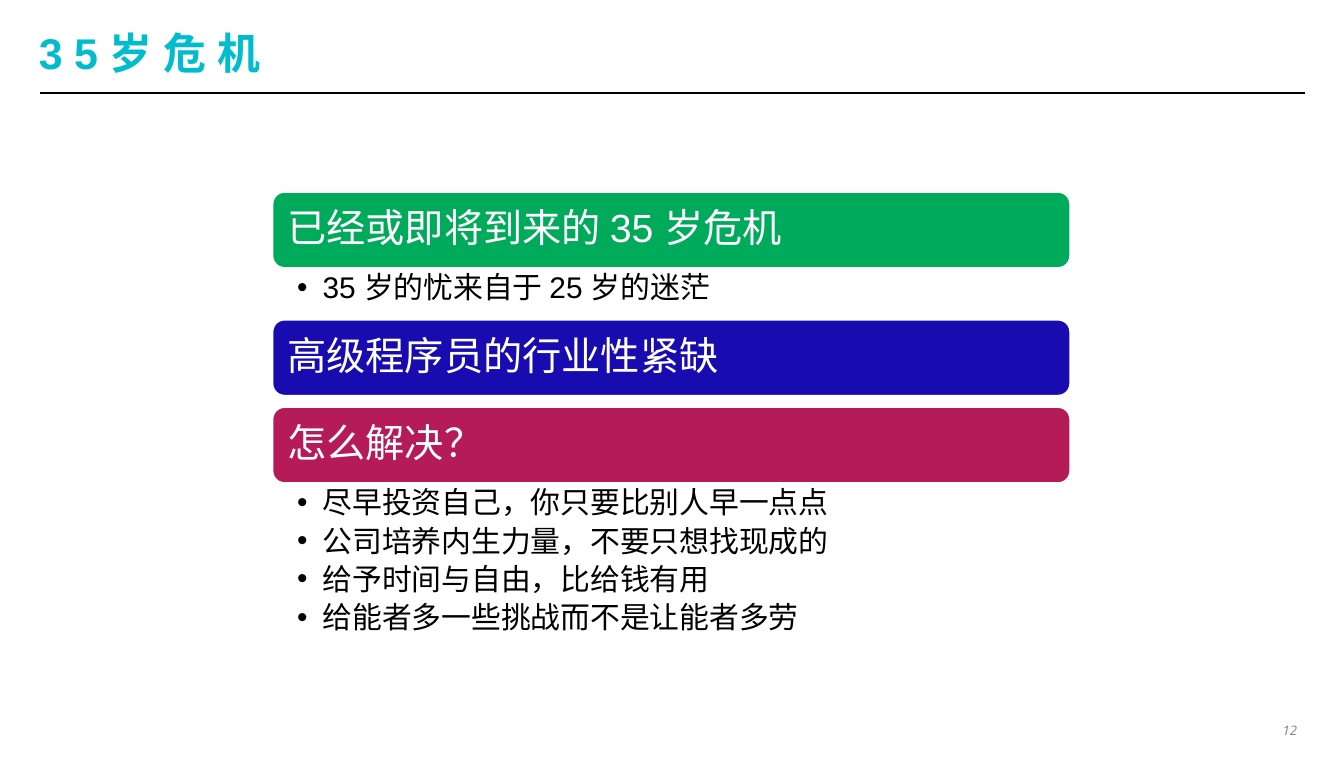
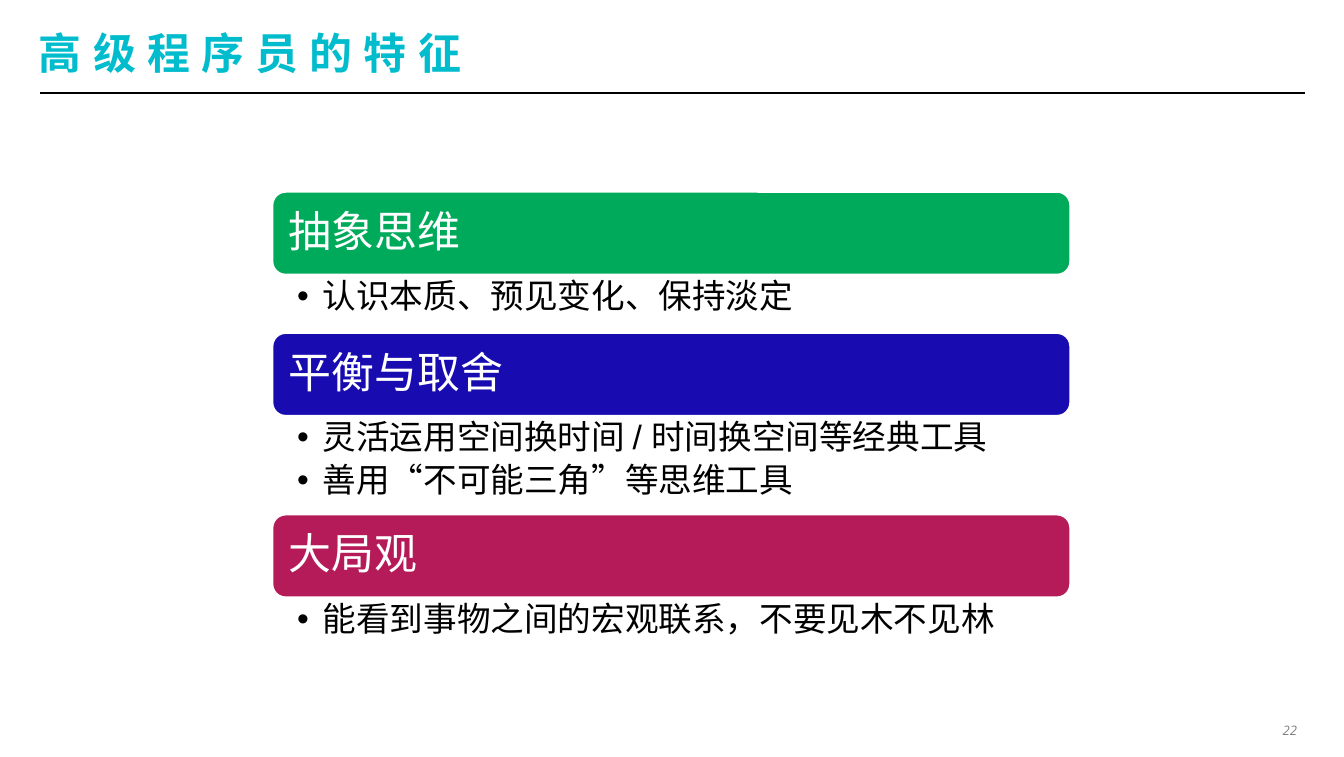
from lxml import etree
from pptx import Presentation
from pptx.dml.color import RGBColor
from pptx.enum import shapes, text
from pptx.oxml import ns
from pptx.util import Inches, Pt

CYAN = RGBColor(0x00, 0xBC, 0xCD)
GREEN = RGBColor(0x00, 0xAA, 0x5B)
BLUE = RGBColor(0x18, 0x0C, 0xB1)
PINK = RGBColor(0xB5, 0x1B, 0x58)
GRAY = RGBColor(0x80, 0x81, 0x84)
BLACK = RGBColor(0, 0, 0)
WHITE = RGBColor(255, 255, 255)

LEFT, TOP, WIDTH = 2.02, 1.42, 5.95
PITCH = 0.3  # height of one bullet line


class Deck:
    """Holds the shared style and the slide being filled."""

    def __init__(self):
        self.prs = Presentation()
        self.prs.slide_width = Inches(10)
        self.prs.slide_height = Inches(5.63)
        self.slide = None

    def start(self, title, page):
        self.slide = self.prs.slides.add_slide(self.prs.slide_layouts[6])
        self.rule()
        self.title(title)
        self.number(page)

    def rule(self):
        line = self.slide.shapes.add_connector(
            shapes.MSO_CONNECTOR.STRAIGHT,
            Inches(0.3), Inches(0.69), Inches(9.71), Inches(0.69))
        line.line.color.rgb = BLACK
        line.line.width = Pt(1)
        etree.SubElement(line._element.spPr, ns.qn("a:effectLst"))

    def frame(self, shape, pads, anchor=text.MSO_ANCHOR.TOP):
        """Set the insets (left, top, right, bottom) and return the text frame."""
        frame = shape.text_frame
        (frame.margin_left, frame.margin_top,
         frame.margin_right, frame.margin_bottom) = map(Inches, pads)
        frame.vertical_anchor = anchor
        frame.word_wrap = True
        return frame

    def box(self, x, y, w, h, pads, **opts):
        shape = self.slide.shapes.add_textbox(*map(Inches, (x, y, w, h)))
        return self.frame(shape, pads, **opts)

    def font(self, para, size, color, name="Arial", bold=None, italic=None):
        font = para.font
        font.name, font.size = name, Pt(size)
        font.bold, font.italic = bold, italic
        font.color.rgb = color

    def space(self, para, after):
        """Set tight lines and the space after, in percent of a line."""
        para.line_spacing = 0.9
        tag = etree.SubElement(para._p.get_or_add_pPr(), ns.qn("a:spcAft"))
        etree.SubElement(tag, ns.qn("a:spcPct"), val=str(after * 1000))

    def title(self, words):
        frame = self.box(0.29, 0.18, 9.41, 0.42, [0] * 4,
                         anchor=text.MSO_ANCHOR.MIDDLE)
        para = frame.paragraphs[0]
        run = para.add_run()
        run.text = words
        run.font._element.set("spc", "600")
        self.font(para, 23, CYAN, bold=True)

    def number(self, page):
        frame = self.box(9.31, 5.34, 0.4, 0.17, (0.06, 0.03) * 2)
        para = frame.paragraphs[0]
        para.text = str(page)
        para.alignment = text.PP_ALIGN.RIGHT
        self.font(para, 7, GRAY, "Open Sans", italic=True)

    def bar(self, y, h, words, fill, size, pad):
        bar = self.slide.shapes.add_shape(
            shapes.MSO_SHAPE.ROUNDED_RECTANGLE,
            *map(Inches, (LEFT, y, WIDTH, h)))
        bar.shadow.inherit = False
        bar.fill.solid()
        bar.fill.fore_color.rgb = fill
        bar.line.color.rgb = WHITE
        bar.line.width = Pt(2)
        frame = self.frame(bar, [pad] * 4, text.MSO_ANCHOR.MIDDLE)
        para = frame.paragraphs[0]
        para.text = words
        para.alignment = text.PP_ALIGN.LEFT
        self.space(para, 35)
        self.font(para, size, WHITE)

    def bullets(self, y, h, items, size, right):
        frame = self.box(LEFT, y, WIDTH, h, (0.19, 0.03, right, 0.03))
        for i, item in enumerate(items):
            para = frame.add_paragraph() if i else frame.paragraphs[0]
            para.text = item
            para.level = 1
            self.space(para, 20)
            props = para._p.get_or_add_pPr()
            props.set("marL", str(Inches(0.19)))
            props.set("indent", str(-Inches(0.19)))
            etree.SubElement(props, ns.qn("a:buFont"), typeface="Arial")
            etree.SubElement(props, ns.qn("a:buChar"), char="•")
            self.font(para, size, BLACK)

    def stack(self, topics, height, gap, head, body, pad, right):
        """Pile up coloured bars, each followed by its bullets and a gap."""
        y = TOP
        for (words, items), fill in zip(topics, (GREEN, BLUE, PINK)):
            self.bar(y, height, words, fill, head, pad)
            y += height
            depth = gap + PITCH * len(items)
            if items:
                self.bullets(y, depth, items, body, right)
            y += depth


def main():
    deck = Deck()

    deck.start("35岁危机", 12)
    deck.stack([
        ("已经或即将到来的 35 岁危机", ["35 岁的忧来自于 25 岁的迷茫"]),
        ("高级程序员的行业性紧缺", []),
        ("怎么解决？", [
            "尽早投资自己，你只要比别人早一点点",
            "公司培养内生力量，不要只想找现成的",
            "给予时间与自由，比给钱有用",
            "给能者多一些挑战而不是让能者多劳",
        ]),
    ], height=0.58, gap=0.07, head=21, body=16, pad=0.09, right=0.16)

    deck.start("高级程序员的特征", 22)
    deck.stack([
        ("抽象思维", ["认识本质、预见变化、保持淡定"]),
        ("平衡与取舍", [
            "灵活运用空间换时间 / 时间换空间等经典工具",
            "善用“不可能三角”等思维工具",
        ]),
        ("大局观", ["能看到事物之间的宏观联系，不要见木不见林"]),
    ], height=0.63, gap=0.12, head=23, body=18, pad=0.1, right=0.18)

    deck.prs.save("out.pptx")


if __name__ == "__main__":
    main()
